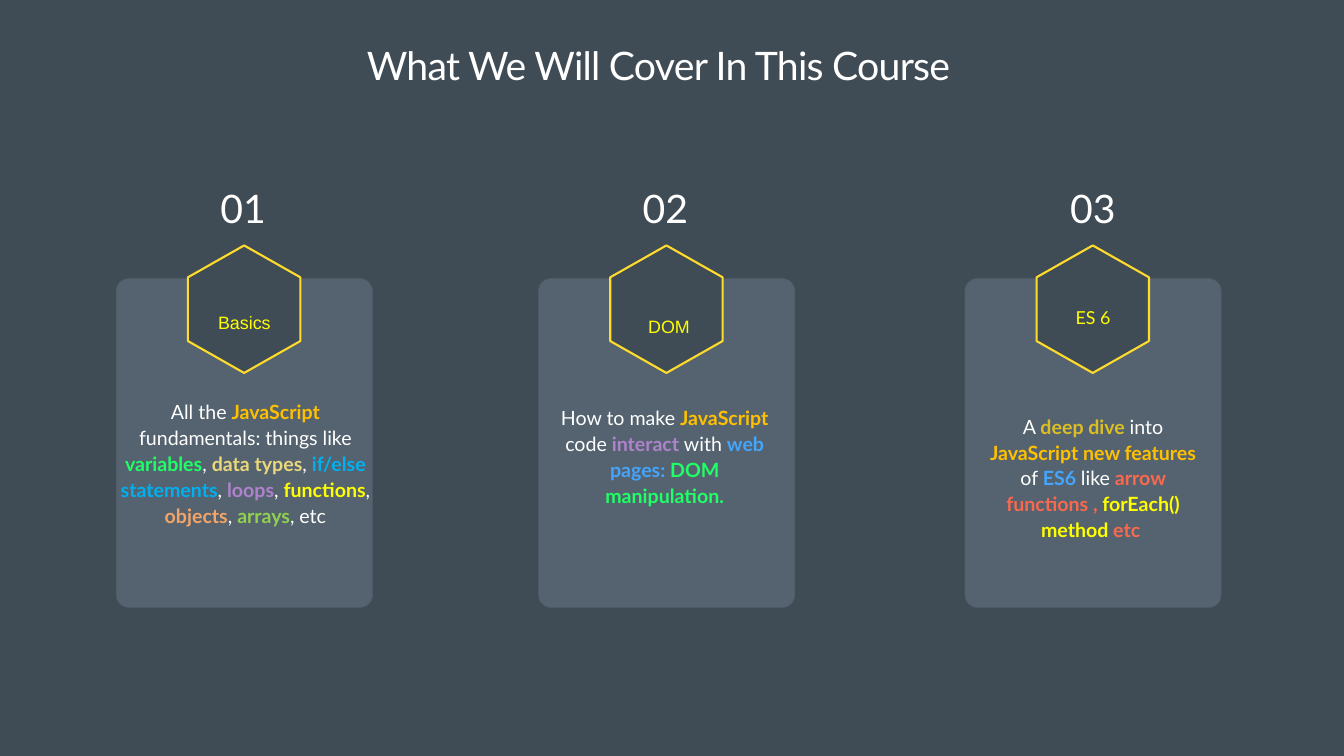
"""Build the course overview slide with three topic cards."""
import pptx
import pptx.util
import pptx.dml.color
import pptx.enum.shapes
import pptx.enum.text
from lxml import etree
from pptx.oxml.ns import qn

Inches = pptx.util.Inches
SHAPES = pptx.enum.shapes.MSO_SHAPE
ANCHOR = pptx.enum.text.MSO_ANCHOR

BACKGROUND, PANEL, OUTLINE = "404C55", "8299A9", "FFDB2C"
WHITE, YELLOW, GOLD, GREEN = "FFFFFF", "FFFF00", "FFC000", "1FFF66"
PURPLE, BLUE, CORAL = "AF82CC", "45A4FC", "FA694E"

HEADING = "What We Will Cover In This Course"
TOPICS = [
    {
        "left": 2.3, "number": "01", "number_width": 1.13,
        "label": "Basics", "label_font": "Arial", "label_box": (2.3, 5.21, 5.1, 1.41),
        "summary_box": (2.27, 7.89, 5.2, 3.07),
        "summary": [
            ("All the ", WHITE), ("JavaScript ", GOLD), ("fundamentals: things like ", WHITE),
            ("variables", GREEN), (", ", WHITE), ("data types", "EAD77B"), (", ", WHITE),
            ("if/else statements", "00B0F0"), (", ", WHITE), ("loops", PURPLE), (", ", WHITE),
            ("functions", YELLOW), (", ", WHITE), ("objects", "F4A467"), (", ", WHITE),
            ("arrays", "92D050"), (", etc", WHITE),
        ],
    },
    {
        "left": 10.68, "number": "02", "number_width": 1.13,
        "label": "DOM", "label_font": "Arial", "label_box": (11.69, 5.28, 3.17, 1.41),
        "summary_box": (11, 8.01, 4.38, 2.07),
        "summary": [
            ("How to make ", WHITE), ("JavaScript", GOLD), (" code ", WHITE),
            ("interact ", PURPLE), ("with ", WHITE), ("web pages: ", BLUE),
            ("DOM manipulation.", GREEN),
        ],
    },
    {
        "left": 19.14, "number": "03", "number_width": 1.17,
        "label": "ES 6", "label_font": "Lato", "label_box": (21.09, 5.1, 1.2, 1.43),
        "summary_box": (19.58, 8.18, 4.22, 2.55),
        "summary": [
            ("A ", WHITE), ("deep dive ", "DCBD23"), ("into ", WHITE),
            ("JavaScript new features ", GOLD), ("of ", WHITE), ("ES6 ", BLUE),
            ("like ", WHITE), ("arrow functions , ", CORAL), ("forEach() method ", YELLOW),
            ("etc ", CORAL),
        ],
    },
]

CARD_TOP, CARD_WIDTH, CARD_HEIGHT = 5.52, 5.1, 6.54
HEXAGON_OFFSET, HEXAGON_TOP, HEXAGON_WIDTH, HEXAGON_HEIGHT = 1.43, 4.87, 2.23, 2.53
NUMBER_OFFSET, NUMBER_TOP, NUMBER_HEIGHT = 1.96, 3.65, 1.09


def color(value):
    return pptx.dml.color.RGBColor.from_string(value)


def paint(shape, fill, line=None, width=0):
    shape.shadow.inherit = False
    shape.fill.solid()
    shape.fill.fore_color.rgb = color(fill)
    if line:
        shape.line.color.rgb = color(line)
        shape.line.width = pptx.util.Pt(width)
    else:
        shape.line.fill.background()


def write(shape, runs, size, font="Lato", inset=0.0, anchor=ANCHOR.TOP, spacing=None, wrap=True):
    frame = shape.text_frame
    frame.word_wrap = wrap
    frame.auto_size = pptx.enum.text.MSO_AUTO_SIZE.SHAPE_TO_FIT_TEXT
    frame.vertical_anchor = anchor
    frame.margin_left = frame.margin_right = Inches(inset)
    frame.margin_top = frame.margin_bottom = Inches(inset)
    paragraph = frame.paragraphs[0]
    paragraph.alignment = pptx.enum.text.PP_ALIGN.CENTER
    paragraph.line_spacing = spacing
    for words, shade in runs:
        run = paragraph.add_run()
        run.text = words
        run.font.name = font
        run.font.size = pptx.util.Pt(size)
        run.font.color.rgb = color(shade)
        run.font.bold = len(runs) > 1 and shade != WHITE
    return paragraph


def add_text(slide, box, *args, **options):
    return write(slide.shapes.add_textbox(*map(Inches, box)), *args, **options)


def add_card(slide, left):
    card = slide.shapes.add_shape(
        SHAPES.ROUNDED_RECTANGLE, *map(Inches, (left, CARD_TOP, CARD_WIDTH, CARD_HEIGHT)))
    card.adjustments[0] = 0.05
    paint(card, PANEL, BACKGROUND, 2)
    for tint in card._element.spPr.iter(qn("a:srgbClr")):
        etree.SubElement(tint, qn("a:alpha"), val="31000")


def add_hexagon(slide, left):
    right, middle = left + HEXAGON_WIDTH, left + HEXAGON_WIDTH / 2
    bottom = HEXAGON_TOP + HEXAGON_HEIGHT
    upper, lower = HEXAGON_TOP + HEXAGON_HEIGHT / 4, bottom - HEXAGON_HEIGHT / 4
    corners = [(middle, HEXAGON_TOP), (right, upper), (right, lower),
               (middle, bottom), (left, lower), (left, upper)]
    points = [(Inches(x), Inches(y)) for x, y in corners]
    outline = slide.shapes.build_freeform(*points[0])
    outline.add_line_segments(points[1:], close=True)
    paint(outline.convert_to_shape(), BACKGROUND, OUTLINE, 3)


def add_topic(slide, topic):
    left = topic["left"]
    add_card(slide, left)
    add_hexagon(slide, left + HEXAGON_OFFSET)
    label = add_text(slide, topic["label_box"], [(topic["label"], YELLOW)], 44,
                     font=topic["label_font"], inset=0.08, anchor=ANCHOR.MIDDLE,
                     spacing=2.0, wrap=topic["label_font"] == "Arial")
    label.runs[0].font._element.set("baseline", "-3000")
    add_text(slide, topic["summary_box"], topic["summary"], 28, spacing=1.1)
    number = slide.shapes.add_shape(SHAPES.RECTANGLE, *map(Inches, (
        left + NUMBER_OFFSET, NUMBER_TOP, topic["number_width"], NUMBER_HEIGHT)))
    paint(number, BACKGROUND)
    write(number, [(topic["number"], WHITE)], 56)


def main():
    deck = pptx.Presentation()
    deck.slide_width, deck.slide_height = Inches(26.67), Inches(15)
    slide = deck.slides.add_slide(deck.slide_layouts[6])
    slide.background.fill.solid()
    slide.background.fill.fore_color.rgb = color(BACKGROUND)
    heading = add_text(slide, (0.85, 0.73, 24.43, 1.1), [(HEADING, WHITE)], 56,
                       inset=0.08, anchor=ANCHOR.MIDDLE)
    heading.runs[0].font._element.set("spc", "-110")
    for topic in TOPICS:
        add_topic(slide, topic)
    deck.save("out.pptx")


if __name__ == "__main__":
    main()
